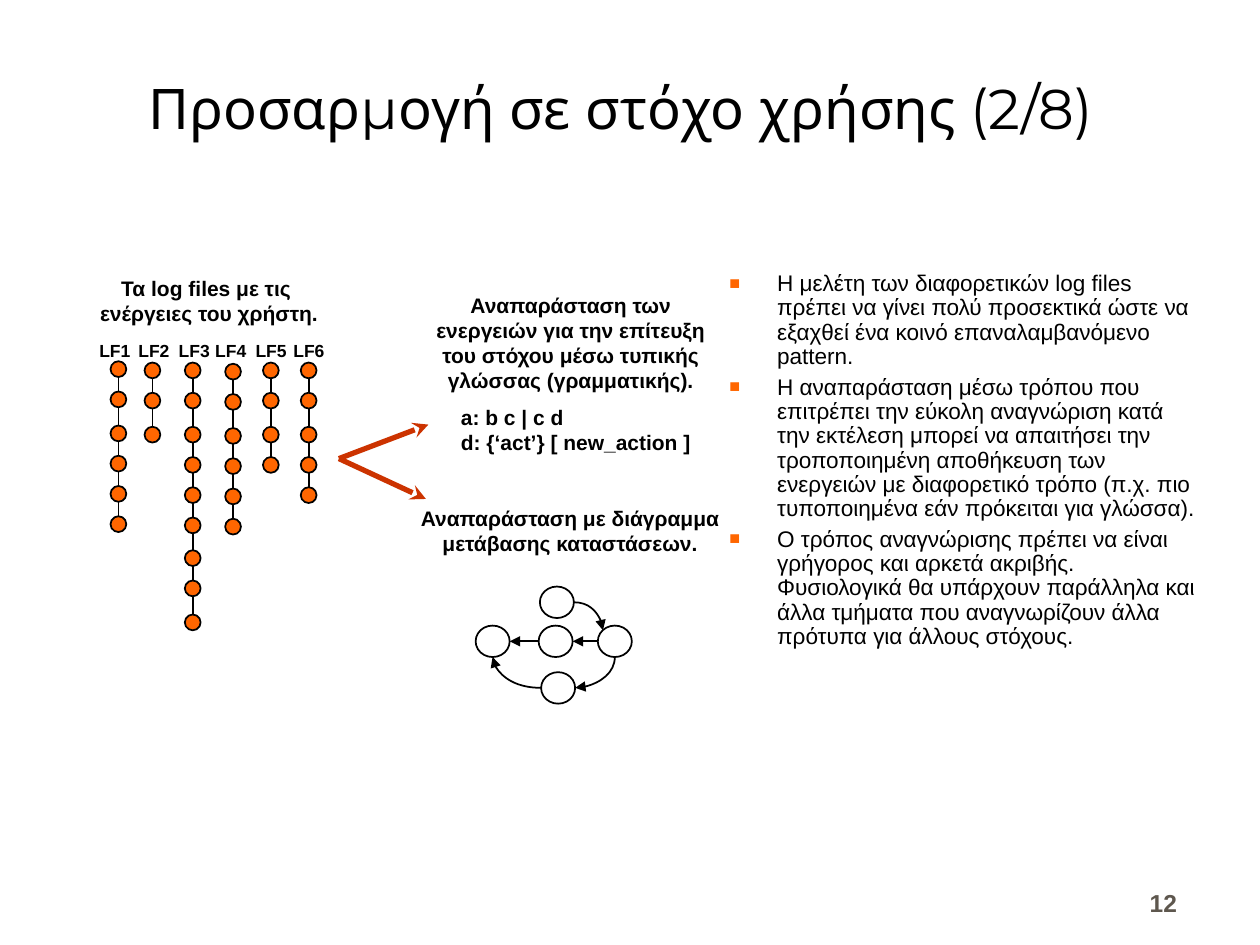
from lxml.etree import SubElement
from pptx import Presentation
from pptx.dml.color import RGBColor
from pptx.enum.shapes import MSO_CONNECTOR as Connector, MSO_SHAPE as Shape
from pptx.enum.text import MSO_ANCHOR as Anchor, PP_ALIGN as Align
from pptx.oxml.ns import qn
from pptx.util import Inches, Pt

THEME = {
    "ink": "000000", "paper": "FFFFFF", "accent": "FF6600", "arrow": "CC3300", "number": "5E574E",
    "body_font": "Arial", "title_font": "Montserrat",
    "title": 32, "number_size": 14, "body": 12.9, "caption": 12, "label": 10,
    "thin": 1, "thick": 3,
}

# Content
TITLE = "Προσαρμογή σε στόχο χρήσης (2/8)"
SLIDE_NUMBER = "12"
BULLETS = [
    "Η μελέτη των διαφορετικών log files πρέπει να γίνει πολύ προσεκτικά ώστε να εξαχθεί ένα "
    "κοινό επαναλαμβανόμενο pattern.",
    "Η αναπαράσταση μέσω τρόπου που επιτρέπει την εύκολη αναγνώριση κατά την εκτέλεση μπορεί να "
    "απαιτήσει την τροποποιημένη αποθήκευση των ενεργειών με διαφορετικό τρόπο (π.χ. πιο "
    "τυποποιημένα εάν πρόκειται για γλώσσα).",
    "Ο τρόπος αναγνώρισης πρέπει να είναι γρήγορος και αρκετά ακριβής. Φυσιολογικά θα υπάρχουν "
    "παράλληλα και άλλα τμήματα που αναγνωρίζουν άλλα πρότυπα για άλλους στόχους.",
]
CAPTIONS = [  # box, alignment, lines
    ((3.56, 3.16, 2.03, 0.5), Align.LEFT, ["a: b c | c d", "d: {‘act’} [ new_action ]"]),
    ((0.69, 2.14, 1.94, 0.5), Align.CENTER, ["Τα log files με τις ", "ενέργειες του χρήστη."]),
    ((3.36, 2.27, 2.34, 0.9), Align.CENTER,
     ["Αναπαράσταση των", "ενεργειών για την επίτευξη", "του στόχου μέσω τυπικής",
      "γλώσσας (γραμματικής)."]),
    ((3.23, 3.96, 2.59, 0.5), Align.CENTER,
     ["Αναπαράσταση με διάγραμμα", "μετάβασης καταστάσεων."]),
]
LOG_FILES = [  # name, label left, chain centre, first dot centre, number of actions
    ("LF1", 0.69, 0.94, 2.93, 6), ("LF2", 1.00, 1.21, 2.94, 3), ("LF3", 1.32, 1.53, 2.94, 9),
    ("LF4", 1.61, 1.85, 2.95, 6), ("LF5", 1.93, 2.15, 2.94, 4), ("LF6", 2.23, 2.45, 2.94, 5),
]
ACTION_ROWS = [0, 0.24, 0.51, 0.75, 0.99, 1.23, 1.49, 1.73, 2.0]
DOT = 0.125

STATE_SIZE = (0.27, 0.25)
STATES = {"top": (4.42, 4.78), "left": (3.91, 5.09), "middle": (4.41, 5.09),
          "right": (4.88, 5.09), "bottom": (4.43, 5.46)}
FORK = (2.69, 3.64)
FORK_TIPS = [(3.4, 3.37), (3.38, 3.96)]


def color(name):
    return RGBColor.from_string(THEME[name])


def add_text(shapes, box, lines, size, align=Align.LEFT, bold=False, wrap=False,
             font="body_font", ink="ink", anchor=Anchor.TOP):
    shape = shapes.add_textbox(*map(Inches, box))
    frame = shape.text_frame
    frame.text = "\n".join(lines)
    frame.word_wrap = wrap
    frame.vertical_anchor = anchor
    for paragraph in frame.paragraphs:
        paragraph.alignment = align
        for run in paragraph.runs:
            run.font.name = THEME[font]
            run.font.size = Pt(THEME[size])
            run.font.bold = bold
            run.font.color.rgb = color(ink)
    return shape


def add_circle(shapes, center, size, fill):
    (x, y), (width, height) = center, size
    circle = shapes.add_shape(Shape.OVAL, Inches(x - width / 2), Inches(y - height / 2),
                              Inches(width), Inches(height))
    circle.shadow.inherit = False
    circle.fill.solid()
    circle.fill.fore_color.rgb = color(fill)
    circle.line.color.rgb = color("ink")
    circle.line.width = Pt(THEME["thin"])


def add_line(shapes, start, end, ink="ink", width="thin", curved=False, head=None, tail=None):
    kind = Connector.CURVE if curved else Connector.STRAIGHT
    line = shapes.add_connector(kind, *map(Inches, (*start, *end)))
    line.line.color.rgb = color(ink)
    line.line.width = Pt(THEME[width])
    properties = line._element.spPr
    if curved:
        properties.find(qn("a:prstGeom")).set("prst", "curvedConnector2")
    for tag, arrow in (("a:headEnd", head), ("a:tailEnd", tail)):
        if arrow:
            SubElement(line.line._get_or_add_ln(), qn(tag), type=arrow)
    SubElement(properties, qn("a:effectLst"))


def add_bullet(paragraph):
    paragraph.line_spacing = 0.9
    paragraph.space_before = Pt(3.5)
    properties = paragraph._p.get_or_add_pPr()
    properties.set("marL", str(Inches(0.38)))
    properties.set("indent", str(-Inches(0.38)))
    bullet_color = SubElement(properties, qn("a:buClr"))
    SubElement(bullet_color, qn("a:srgbClr"), val=THEME["accent"])
    SubElement(properties, qn("a:buSzPct"), val="80000")
    SubElement(properties, qn("a:buFont"), typeface=THEME["body_font"])
    SubElement(properties, qn("a:buChar"), char="■")


def add_log_files(shapes):
    for name, label_left, x, top, count in LOG_FILES:
        centers = [top + row for row in ACTION_ROWS[:count]]
        for y in centers:
            add_circle(shapes, (x, y), (DOT, DOT), "accent")
        for upper, lower in zip(centers, centers[1:]):
            add_line(shapes, (x, upper + DOT / 2), (x, lower - DOT / 2))
        add_text(shapes, (label_left, 2.65, 0.45, 0.27), [name], "label", bold=True)


def add_state_diagram(shapes):
    half_width, half_height = (side / 2 for side in STATE_SIZE)

    def edge(state, across=0, down=0):
        x, y = STATES[state]
        return x + across * half_width, y + down * half_height

    for center in STATES.values():
        add_circle(shapes, center, STATE_SIZE, "paper")
    for start, end in (("right", "middle"), ("middle", "left")):
        add_line(shapes, edge(start, -1), edge(end, 1), tail="triangle")
    # Each curve leaves sideways and arrives vertically
    add_line(shapes, edge("top", 1), edge("right", -0.7, -0.7), curved=True, tail="triangle")
    add_line(shapes, edge("bottom", 1), edge("right", 0, 1), curved=True, head="triangle")
    add_line(shapes, edge("bottom", -1), edge("left", 0, 1), curved=True, tail="triangle")


def main():
    presentation = Presentation()
    presentation.slide_width, presentation.slide_height = Inches(10), Inches(7.5)
    slide = presentation.slides.add_slide(presentation.slide_layouts[6])
    shapes = slide.shapes

    # Title
    add_text(shapes, (1.08, 0.17, 8.92, 1), [TITLE], "title", wrap=True,
             font="title_font", anchor=Anchor.BOTTOM)

    # Log files, captions and state diagram
    add_log_files(shapes.add_group_shape().shapes)
    for box, align, lines in CAPTIONS:
        add_text(shapes, box, lines, "caption", align, bold=True)
    add_state_diagram(shapes.add_group_shape().shapes)
    for tip in FORK_TIPS:
        add_line(shapes, FORK, tip, "arrow", "thick", tail="stealth")

    # Explanation and slide number
    explanation = add_text(shapes, (5.69, 2.11, 3.89, 4.33), BULLETS, "body", wrap=True)
    for paragraph in explanation.text_frame.paragraphs:
        add_bullet(paragraph)
    add_text(shapes, (7.36, 6.83, 2.08, 0.5), [SLIDE_NUMBER], "number_size", Align.RIGHT,
             bold=True, wrap=True, ink="number", anchor=Anchor.BOTTOM)

    presentation.save("out.pptx")


if __name__ == "__main__":
    main()
